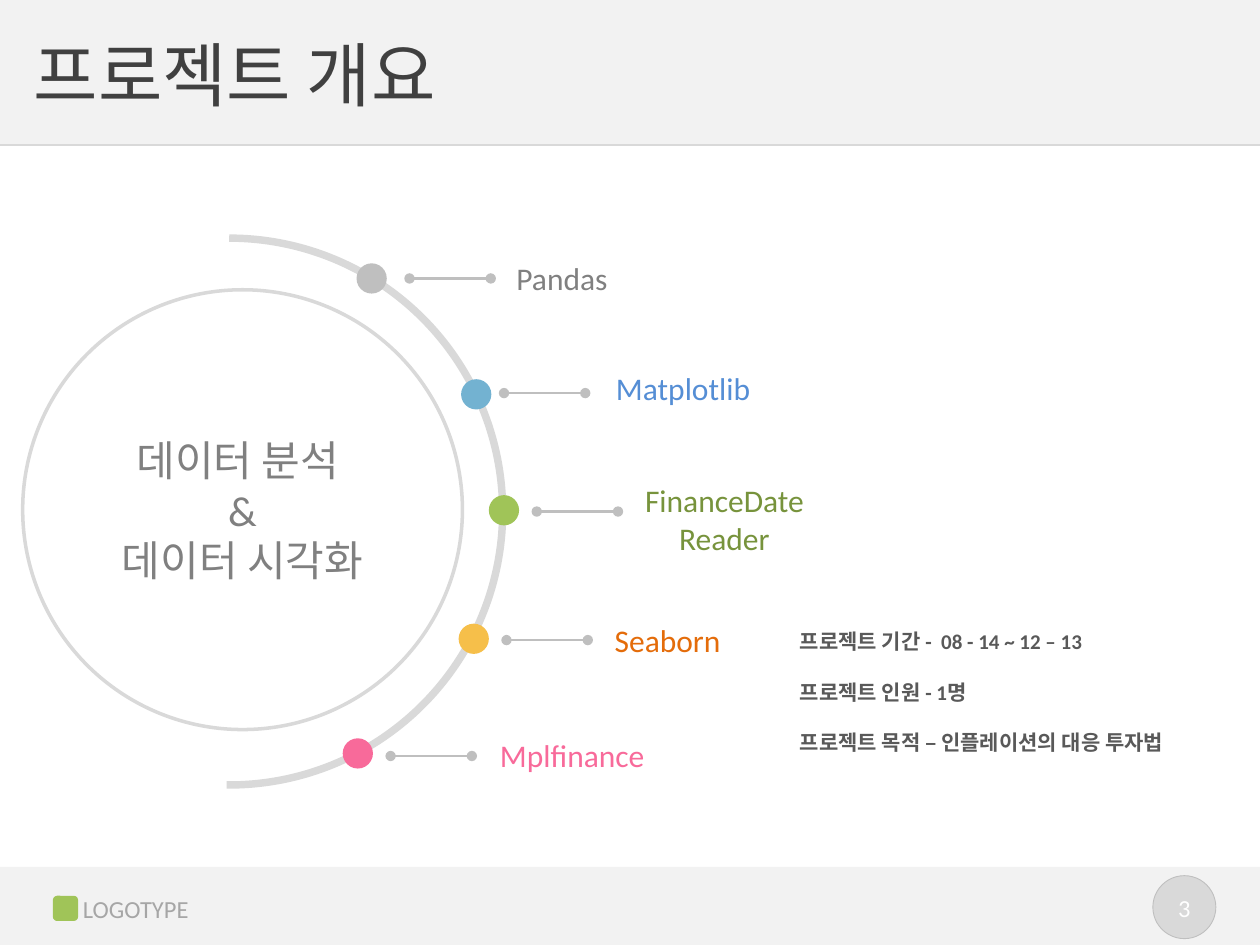
from lxml.etree import SubElement
from pptx import Presentation
from pptx.dml.color import RGBColor
from pptx.enum.shapes import MSO_CONNECTOR as CONNECTOR, MSO_SHAPE as SHAPE
from pptx.enum.text import MSO_ANCHOR as ANCHOR, PP_ALIGN as ALIGN
from pptx.oxml.ns import qn
from pptx.util import Inches, Pt

WHITE = RGBColor(0xFF, 0xFF, 0xFF)
BAND = RGBColor(0xF2, 0xF2, 0xF2)
PALE = RGBColor(0xD9, 0xD9, 0xD9)
SILVER = RGBColor(0xBF, 0xBF, 0xBF)
FOOTER_GRAY = RGBColor(0xA6, 0xA6, 0xA6)
GRAY = RGBColor(0x80, 0x80, 0x80)
DARK_GRAY = RGBColor(0x59, 0x59, 0x59)
CHARCOAL = RGBColor(0x40, 0x40, 0x40)
SKY = RGBColor(0x73, 0xB2, 0xD1)
BLUE = RGBColor(0x55, 0x8E, 0xD5)
GREEN = RGBColor(0xA0, 0xC4, 0x58)
OLIVE = RGBColor(0x77, 0x93, 0x3C)
YELLOW = RGBColor(0xF6, 0xBF, 0x4A)
ORANGE = RGBColor(0xE4, 0x6C, 0x0A)
PINK = RGBColor(0xF8, 0x6A, 0x9A)

prs = Presentation()
prs.slide_width, prs.slide_height = Inches(10), Inches(7.5)
COL, ROW = prs.slide_width / 100, prs.slide_height / 75
slide = prs.slides.add_slide(prs.slide_layouts[6])


def add_piece(kind, left, top, width, height, fill=None, line=None, weight=1):
    """Add a preset shape, or a text box when kind is None, in grid cells."""
    area = [round(n) for n in (left * COL, top * ROW, width * COL, height * ROW)]
    if kind is None:
        return slide.shapes.add_textbox(*area)
    piece = slide.shapes.add_shape(kind, *area)
    piece.shadow.inherit = False
    if fill is None:
        piece.fill.background()
    else:
        piece.fill.solid()
        piece.fill.fore_color.rgb = fill
    if line is None:
        piece.line.fill.background()
    else:
        piece.line.color.rgb = line
        piece.line.width = Pt(weight)
    return piece


def write(piece, text, size, color, bold=False, align=ALIGN.LEFT,
          anchor=ANCHOR.TOP, wrap=True, gap=0, inset=None):
    frame = piece.text_frame
    frame.word_wrap = wrap
    frame.vertical_anchor = anchor
    if inset is not None:
        frame.margin_left = frame.margin_right = inset
        frame.margin_top = frame.margin_bottom = inset
    for i, words in enumerate(text.split("\n")):
        paragraph = frame.add_paragraph() if i else frame.paragraphs[0]
        paragraph.alignment = align
        if i and gap:
            paragraph.space_before = Pt(gap)
        run = paragraph.add_run()
        run.text = words
        run.font.name, run.font.size = "Calibri", Pt(size)
        run.font.bold, run.font.color.rgb = bold, color


# Footer and title bands
add_piece(SHAPE.RECTANGLE, 0, 68.8, 100, 6.2, BAND)
add_piece(SHAPE.ROUNDED_RECTANGLE, 4.2, 71.1, 2, 2, GREEN)
write(add_piece(None, 5.6, 70.5, 10.5, 3.4), "LOGOTYPE", 14, FOOTER_GRAY, wrap=False)
add_piece(SHAPE.OVAL, 91.5, 69.5, 5, 5, PALE, SILVER, 0.5)
write(add_piece(None, 91.8, 70.4, 4.4, 3.4), "3", 14, WHITE,
      align=ALIGN.CENTER, wrap=False)
add_piece(SHAPE.RECTANGLE, 0, 0, 100, 11.5, BAND)
write(add_piece(None, 2.7, 2.8, 92.7, 6), "프로젝트 개요", 40, CHARCOAL,
      anchor=ANCHOR.MIDDLE, inset=0)

# Half ring around the topic circle
ring = add_piece(SHAPE.ARC, -3.5, 18.9, 43.4, 43.4, line=PALE, weight=4.25)
ring.adjustments[0], ring.adjustments[1] = 162, 54.33
topic = add_piece(SHAPE.OVAL, 1.8, 23, 34.9, 34.9, WHITE, PALE, 2)
write(topic, "데이터 분석 \n&\n데이터 시각화", 24, GRAY,
      align=ALIGN.CENTER, anchor=ANCHOR.MIDDLE)

# Libraries: dot corner, link start, label box, colours
DOT, LINK = 2.4, 6.45
libraries = [
    ("Pandas", (28.3, 20.9), (32.5, 22.1), (40, 20.1, 11.2, 4), SILVER, GRAY),
    ("Matplotlib", (36.6, 30.1), (40, 31.2), (47.9, 28.8, 13.8, 4), SKY, BLUE),
    ("FinanceDate\nReader", (38.8, 39.3), (42.6, 40.6), (49.1, 37.7, 16.8, 7.1),
     GREEN, OLIVE),
    ("Seaborn", (36.4, 49.5), (40.2, 50.8), (47.8, 48.8, 11.2, 4), YELLOW, ORANGE),
    ("Mplfinance", (27.2, 58.6), (31, 60), (38.7, 57.9, 16.3, 4), PINK, PINK),
]
rules = [(0, 11.5, 100, PALE, 0.75, False)]
for name, dot, link, label, dot_color, label_color in libraries:
    add_piece(SHAPE.OVAL, *dot, DOT, DOT, dot_color)
    write(add_piece(None, *label), name, 18, label_color,
          align=ALIGN.CENTER if "\n" in name else ALIGN.LEFT)
    rules.append((*link, LINK, SILVER, 1.5, True))

# Title rule and the links, which end in round dots
for left, top, length, color, weight, dotted in rules:
    y = round(top * ROW)
    rule = slide.shapes.add_connector(
        CONNECTOR.STRAIGHT, round(left * COL), y, round((left + length) * COL), y)
    rule.line.color.rgb = color
    rule.line.width = Pt(weight)
    properties = rule._element.spPr
    if dotted:
        for end in ("a:headEnd", "a:tailEnd"):
            SubElement(properties.find(qn("a:ln")), qn(end), type="oval")
    SubElement(properties, qn("a:effectLst"))

facts = ("프로젝트 기간 -  08 - 14 ~ 12 – 13\n"
         "프로젝트 인원 - 1명\n"
         "프로젝트 목적 – 인플레이션의 대응 투자법")
write(add_piece(None, 62.5, 49.4, 35.6, 15.1), facts, 12, DARK_GRAY,
      bold=True, gap=14.4)

prs.save("out.pptx")
